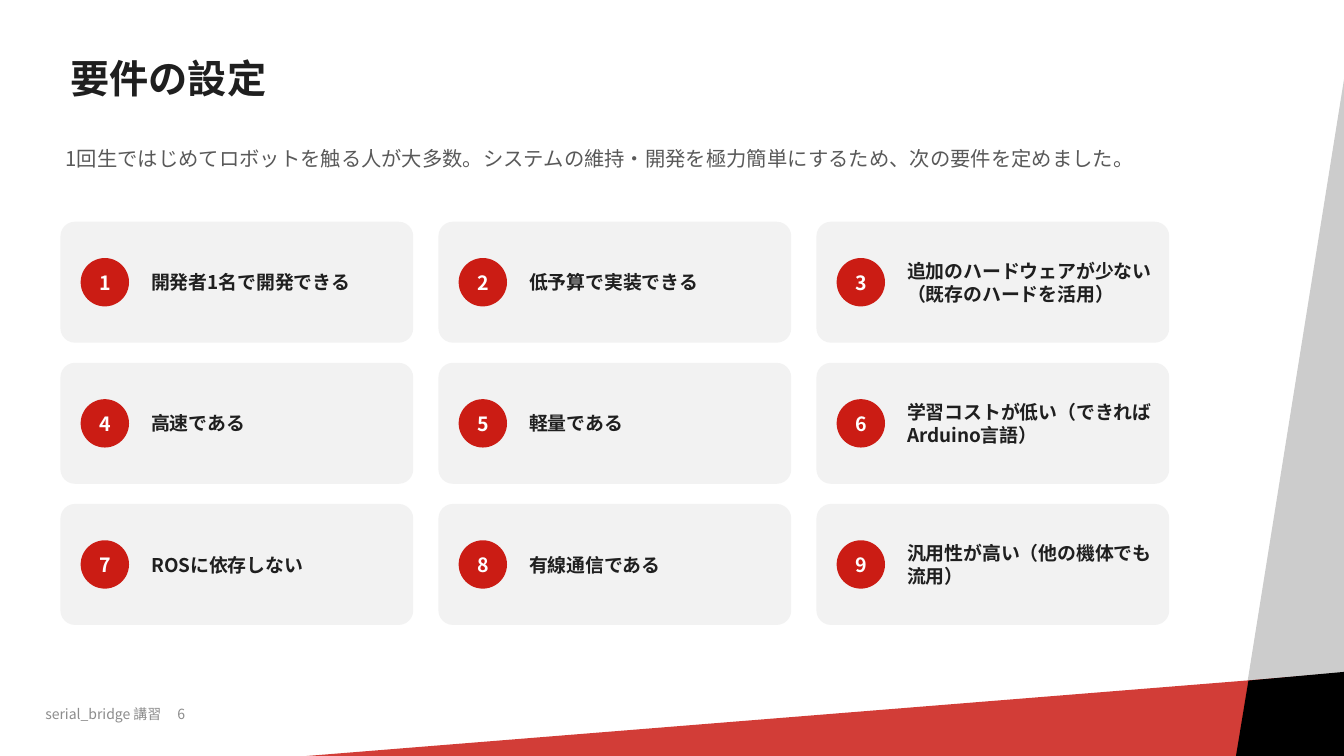
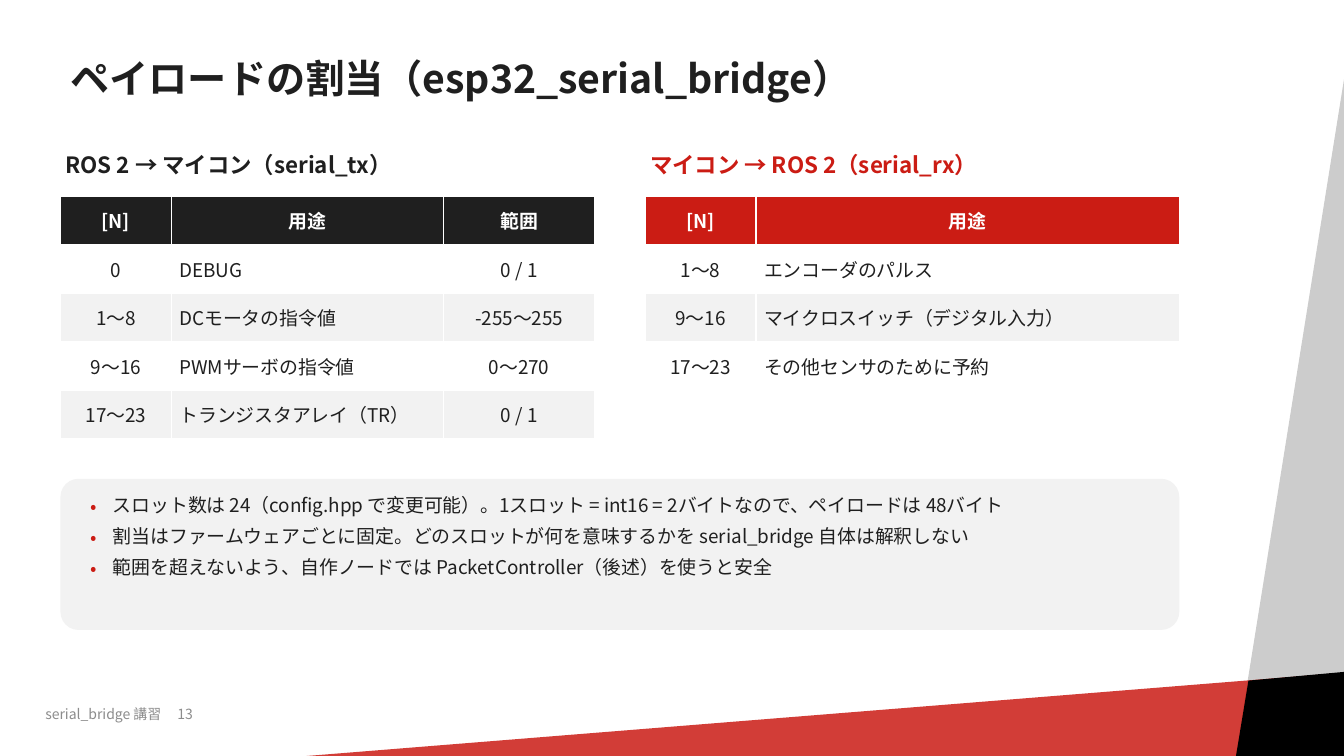
from lxml import etree
from pptx import Presentation
from pptx.dml.color import RGBColor
from pptx.enum.shapes import MSO_SHAPE
from pptx.enum.text import MSO_ANCHOR, MSO_AUTO_SIZE, PP_ALIGN
from pptx.oxml.ns import qn
from pptx.util import Pt

LEFT, CENTER = PP_ALIGN.LEFT, PP_ALIGN.CENTER
TOP, MIDDLE = MSO_ANCHOR.TOP, MSO_ANCHOR.MIDDLE
ROUNDED, OVAL = MSO_SHAPE.ROUNDED_RECTANGLE, MSO_SHAPE.OVAL
RECTANGLE, PARALLELOGRAM = MSO_SHAPE.RECTANGLE, MSO_SHAPE.PARALLELOGRAM
FONT = "Noto Sans CJK JP"
COLORS = {
    "ink": "1F1F1F",
    "red": "CB1C14",
    "panel": "F2F2F2",
    "white": "FFFFFF",
    "lead": "595959",
    "footer": "8C8C8C",
    "band": "CCCCCC",
    "corner": "000000",
}
MARGIN = 43.2
CONTENT_TOP = 104.4


def write(para, text, size, color="ink", bold=False, align=LEFT, after=4):
    """Put text in a paragraph and set its Latin and East Asian font."""
    para.text = text
    para.alignment = align
    para.space_after = Pt(after)
    font = para.font
    font.name, font.size, font.bold = FONT, Pt(size), bold
    font.color.rgb = RGBColor.from_string(COLORS[color])
    defaults = para._p.pPr.find(qn("a:defRPr"))
    etree.SubElement(defaults, qn("a:ea"), typeface=FONT)


def add_box(slide, left, top, width, height, kind=None, fill=None, inset=3.6, anchor=TOP):
    """Add a filled shape, or a text box when no kind is given."""
    place = Pt(left), Pt(top), Pt(width), Pt(height)
    if kind is None:
        box = slide.shapes.add_textbox(*place)
    else:
        box = slide.shapes.add_shape(kind, *place)
        box.shadow.inherit = False
        box.fill.solid()
        box.fill.fore_color.rgb = RGBColor.from_string(COLORS[fill])
        box.line.fill.background()
    if kind == ROUNDED:
        box.adjustments[0] = 0.12
    frame = box.text_frame
    frame.word_wrap = kind != OVAL
    frame.vertical_anchor = anchor
    frame.margin_left = frame.margin_right = Pt(inset)
    frame.margin_top = frame.margin_bottom = Pt(inset)
    return box


deck = Presentation()
deck.slide_width, deck.slide_height = Pt(960), Pt(540)
layout = deck.slide_layouts[5]
layout_title = layout.placeholders[0]
for holder in list(layout.placeholders)[1:]:
    holder.element.getparent().remove(holder.element)

# Titles and footers
HEADINGS = [("要件の設定", 6), ("ペイロードの割当（esp32_serial_bridge）", 13)]
slides = []
for heading, number in HEADINGS:
    slide = deck.slides.add_slide(layout)
    slides.append(slide)
    title = slide.shapes.title
    title.left, title.top = Pt(MARGIN), Pt(25.2)
    title.width, title.height = Pt(619.2), Pt(64.8)
    title.text_frame.auto_size = MSO_AUTO_SIZE.NONE
    title.text_frame.vertical_anchor = MIDDLE
    para = title.text_frame.paragraphs[0]
    para.line_spacing = 0.9
    write(para, heading, 28, bold=True)

    footer = add_box(slide, 32.4, 504, 288, 21.6, inset=0)
    para = footer.text_frame.paragraphs[0]
    tabs = etree.SubElement(para._p.get_or_add_pPr(), qn("a:tabLst"))
    etree.SubElement(tabs, qn("a:tab"), pos=str(Pt(94.3)), algn="l")
    write(para, f"serial_bridge 講習\t{number}", 10, "footer")

requirements, payload = slides

# Tilted corner bands, drawn once and moved to the shared layout
BANDS = [
    (RECTANGLE, "band", 279.1, (452.88, 451.44, 984.24, 113.04)),
    (RECTANGLE, "red", 355.4, (42.48, 514.8, 984.24, 82.8)),
    (PARALLELOGRAM, "corner", 354.8, (873.36, 481.68, 138.24, 84.96)),
]
bands = []
for kind, color, angle, place in BANDS:
    band = add_box(requirements, *place, kind, color)
    band.rotation = angle
    if kind == PARALLELOGRAM:
        band.adjustments[0] = 0.26
    if color == "red":
        tint = band.element.spPr.find(qn("a:solidFill"))[0]
        etree.SubElement(tint, qn("a:alpha"), val="85000")
    bands.append(band)
for band in bands:
    layout_title.element.addprevious(band.element)

# Requirements: lead sentence and a three by three grid of cards
lead = add_box(requirements, MARGIN, 100.8, 799.2, 43.2)
write(
    lead.text_frame.paragraphs[0],
    "1回生ではじめてロボットを触る人が大多数。システムの維持・開発を極力簡単にするため、次の要件を定めました。",
    14.5,
    "lead",
)
REQUIREMENTS = [
    "開発者1名で開発できる",
    "低予算で実装できる",
    "追加のハードウェアが少ない（既存のハードを活用）",
    "高速である",
    "軽量である",
    "学習コストが低い（できればArduino言語）",
    "ROSに依存しない",
    "有線通信である",
    "汎用性が高い（他の機体でも流用）",
]
for index, requirement in enumerate(REQUIREMENTS):
    row, column = divmod(index, 3)
    left, top = MARGIN + column * 270, 158.4 + row * 100.8
    add_box(requirements, left, top, 252, 86.4, ROUNDED, "panel")
    badge = add_box(requirements, left + 14.4, top + 25.92, 34.56, 34.56, OVAL, "red", 0, MIDDLE)
    write(badge.text_frame.paragraphs[0], str(index + 1), 14, "white", True, CENTER, 0)
    label = add_box(requirements, left + 61.2, top + 7.2, 183.6, 72, anchor=MIDDLE)
    write(label.text_frame.paragraphs[0], requirement, 13.5, bold=True)

# Payload: one table for each direction
TABLES = [
    (MARGIN, "ink", "ROS 2 → マイコン（serial_tx）", [79.2, 194.4, 108], [
        ["[N]", "用途", "範囲"],
        ["0", "DEBUG", "0 / 1"],
        ["1〜8", "DCモータの指令値", "-255〜255"],
        ["9〜16", "PWMサーボの指令値", "0〜270"],
        ["17〜23", "トランジスタアレイ（TR）", "0 / 1"],
    ]),
    (460.8, "red", "マイコン → ROS 2（serial_rx）", [79.2, 302.4], [
        ["[N]", "用途"],
        ["1〜8", "エンコーダのパルス"],
        ["9〜16", "マイクロスイッチ（デジタル入力）"],
        ["17〜23", "その他センサのために予約"],
    ]),
]
ROW_HEIGHT = 34.56
for left, color, heading, widths, rows in TABLES:
    caption = add_box(payload, left, CONTENT_TOP, 381.6, 28.8)
    write(caption.text_frame.paragraphs[0], heading, 16, color, True)
    table = payload.shapes.add_table(
        len(rows), len(widths), Pt(left), Pt(140.4), Pt(sum(widths)), Pt(ROW_HEIGHT * len(rows))
    ).table
    table.horz_banding = False
    for column, width in zip(table.columns, widths):
        column.width = Pt(width)
    for row_index, values in enumerate(rows):
        table.rows[row_index].height = Pt(ROW_HEIGHT)
        is_header = row_index == 0
        fill = color if is_header else "white" if row_index % 2 else "panel"
        for column_index, value in enumerate(values):
            cell = table.cell(row_index, column_index)
            cell.vertical_anchor = MIDDLE
            cell.margin_left = cell.margin_right = Pt(5.76)
            cell.margin_top = cell.margin_bottom = Pt(2.16)
            properties = cell._tc.get_or_add_tcPr()
            for side in ("a:lnL", "a:lnR", "a:lnT", "a:lnB"):
                border = etree.SubElement(properties, qn(side), w=str(Pt(1)))
                paint = etree.SubElement(border, qn("a:solidFill"))
                etree.SubElement(paint, qn("a:srgbClr"), val=COLORS["white"])
            cell.fill.solid()
            cell.fill.fore_color.rgb = RGBColor.from_string(COLORS[fill])
            align = LEFT if column_index == 1 and not is_header else CENTER
            text_color = "white" if is_header else "ink"
            write(cell.text_frame.paragraphs[0], value, 13.5, text_color, is_header, align, 0)

# Payload: notes panel
NOTES = [
    "スロット数は 24（config.hpp で変更可能）。1スロット = int16 = 2バイトなので、ペイロードは 48バイト",
    "割当はファームウェアごとに固定。どのスロットが何を意味するかを serial_bridge 自体は解釈しない",
    "範囲を超えないよう、自作ノードでは PacketController（後述）を使うと安全",
]
add_box(payload, MARGIN, 342, 799.2, 108, ROUNDED, "panel")
frame = add_box(payload, 61.2, 349.2, 763.2, 97.2).text_frame
for index, note in enumerate(NOTES):
    para = frame.add_paragraph() if index else frame.paragraphs[0]
    properties = para._p.get_or_add_pPr()
    properties.set("marL", str(Pt(15.84)))
    properties.set("indent", str(-Pt(15.84)))
    bullet_color = etree.SubElement(properties, qn("a:buClr"))
    etree.SubElement(bullet_color, qn("a:srgbClr"), val=COLORS["red"])
    etree.SubElement(properties, qn("a:buFont"), typeface=FONT)
    etree.SubElement(properties, qn("a:buChar"), char="•")
    write(para, note, 13.5, after=6)

deck.save("out.pptx")
